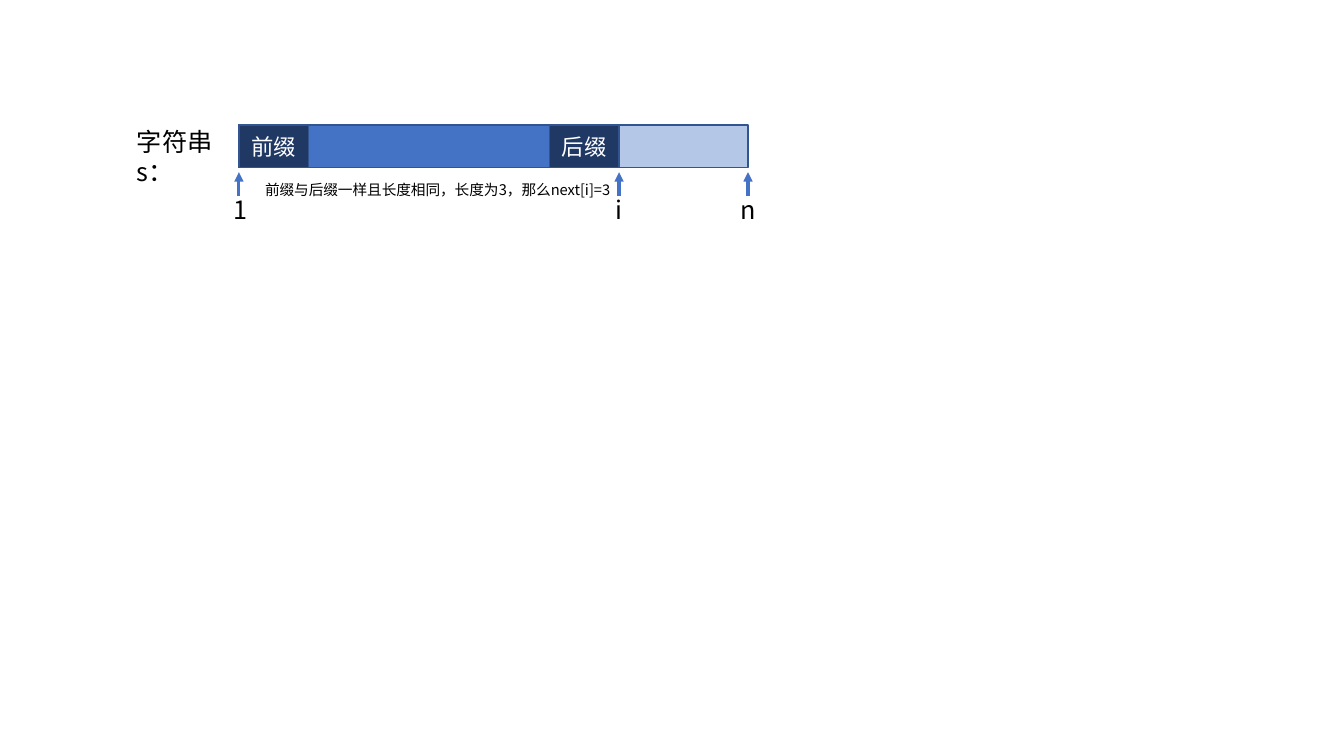
from dataclasses import dataclass

from lxml.etree import SubElement
from pptx import Presentation
from pptx.dml.color import RGBColor
from pptx.enum.shapes import MSO_CONNECTOR, MSO_SHAPE
from pptx.enum.text import MSO_ANCHOR, MSO_AUTO_SIZE, PP_ALIGN
from pptx.oxml.ns import qn
from pptx.slide import Slide
from pptx.text.text import TextFrame
from pptx.util import Cm, Pt

BLUE = RGBColor(0x44, 0x72, 0xC4)
PALE = RGBColor(0xB4, 0xC7, 0xE7)
NAVY = RGBColor(0x20, 0x38, 0x64)
EDGE = RGBColor(0x32, 0x54, 0x91)
WHITE = RGBColor(0xFF, 0xFF, 0xFF)
BLACK = RGBColor(0, 0, 0)
FONT = "Noto Sans CJK SC"

START, INDEX, END = 6.02, 15.6, 18.85
BAR_TOP, BAR_HEIGHT, AFFIX_WIDTH = 3.15, 1.07, 1.75
ARROW_TIP, ARROW_BASE, LABEL_TOP = 4.34, 4.95, 4.78


@dataclass
class Segment:
    left: float
    right: float
    fill: RGBColor
    text: str = ""


@dataclass
class Marker:
    x: float
    label: str
    label_left: float
    label_width: float


SEGMENTS = [
    Segment(START, INDEX + 0.88, BLUE),
    Segment(INDEX, END, PALE),
    Segment(START, START + AFFIX_WIDTH, NAVY, "前缀"),
    Segment(INDEX - AFFIX_WIDTH, INDEX, NAVY, "后缀"),
]
MARKERS = [
    Marker(START, "1", 5.64, 0.86),
    Marker(INDEX, "i", 15.27, 0.66),
    Marker(END, "n", 18.42, 0.86),
]


def set_text(tf: TextFrame, text: str, size: float = 18,
             color: RGBColor = BLACK, align: PP_ALIGN = PP_ALIGN.LEFT) -> None:
    p = tf.paragraphs[0]
    p.alignment = align
    r = p.add_run()
    r.text = text
    r.font.name = FONT
    r.font.size = Pt(size)
    r.font.color.rgb = color
    SubElement(r.font._element, qn("a:ea"), typeface=FONT)


def add_text(s: Slide, text: str, left: float, top: float, width: float,
             height: float, wrap: bool = True, size: float = 18) -> None:
    tf = s.shapes.add_textbox(Cm(left), Cm(top), Cm(width), Cm(height)).text_frame
    tf.word_wrap = wrap
    tf.auto_size = MSO_AUTO_SIZE.SHAPE_TO_FIT_TEXT
    set_text(tf, text, size=size)


def add_segment(s: Slide, seg: Segment) -> None:
    sp = s.shapes.add_shape(MSO_SHAPE.RECTANGLE, Cm(seg.left), Cm(BAR_TOP),
                            Cm(seg.right - seg.left), Cm(BAR_HEIGHT))
    sp.shadow.inherit = False
    sp.fill.solid()
    sp.fill.fore_color.rgb = seg.fill
    sp.line.color.rgb = EDGE
    sp.line.width = Pt(1)
    if seg.text:
        sp.text_frame.vertical_anchor = MSO_ANCHOR.MIDDLE
        set_text(sp.text_frame, seg.text, size=16, color=WHITE, align=PP_ALIGN.CENTER)


def add_marker(s: Slide, m: Marker) -> None:
    arrow = s.shapes.add_connector(MSO_CONNECTOR.STRAIGHT, Cm(m.x), Cm(ARROW_BASE),
                                   Cm(m.x), Cm(ARROW_TIP))
    arrow.line.color.rgb = BLUE
    arrow.line.width = Pt(2.25)
    SubElement(arrow.line._get_or_add_ln(), qn("a:tailEnd"), type="triangle")
    SubElement(arrow._element.spPr, qn("a:effectLst"))
    add_text(s, m.label, m.label_left, LABEL_TOP, m.label_width, 1.02, wrap=False)


prs = Presentation()
prs.slide_width = Cm(33.87)
prs.slide_height = Cm(19.05)
s = prs.slides.add_slide(prs.slide_layouts[6])

for seg in SEGMENTS:
    add_segment(s, seg)
for m in MARKERS:
    add_marker(s, m)
add_text(s, "字符串s：", 3.2, 3.05, 3.1, 1.07)
add_text(s, "前缀与后缀一样且长度相同，长度为3，那么next[i]=3",
         6.43, 4.42, 9.35, 0.71, size=10.5)

prs.save("out.pptx")
